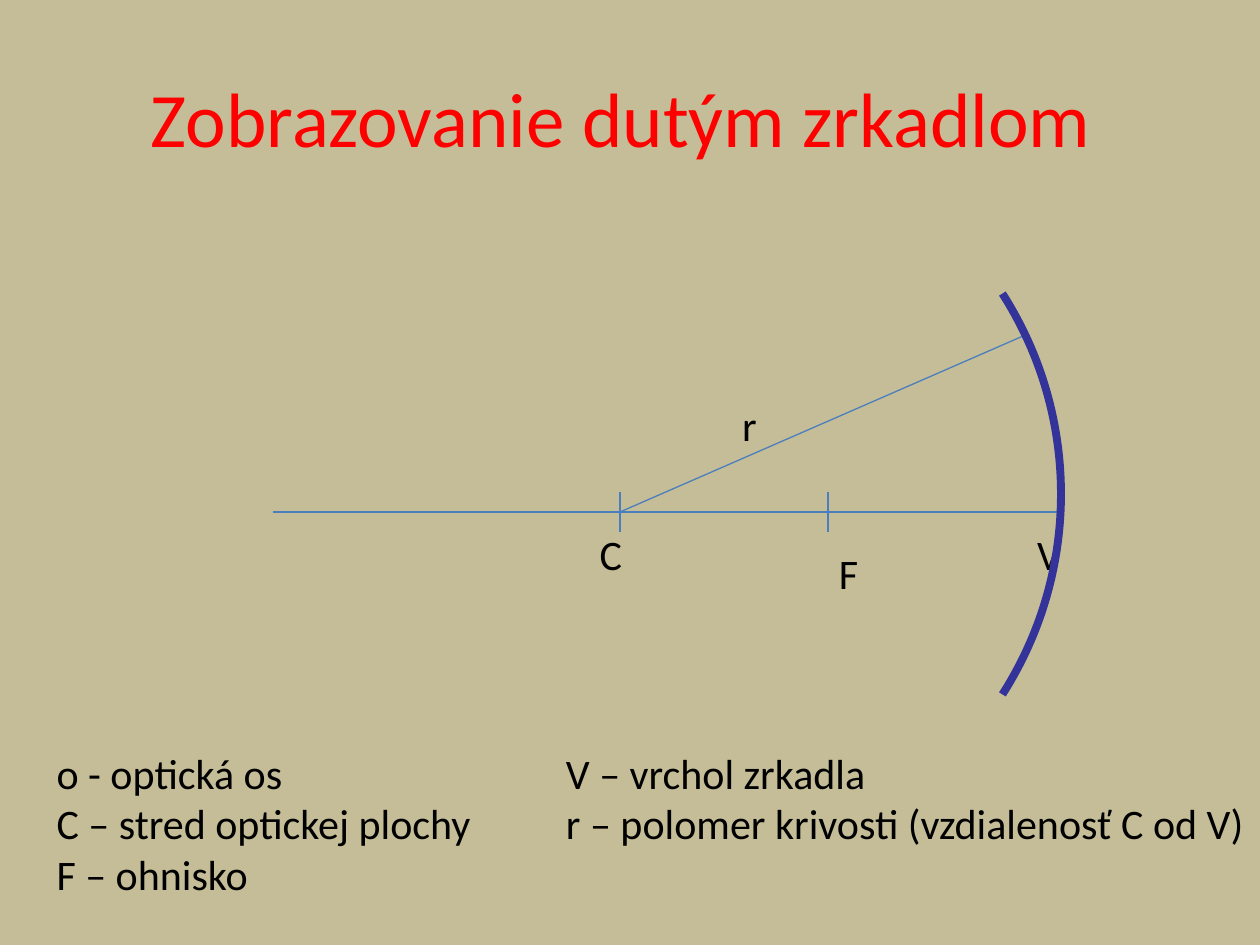
import math
import pptx
import pptx.dml.color
import pptx.enum.shapes
import pptx.enum.text
import pptx.util
import lxml.etree

Cm = pptx.util.Cm
Pt = pptx.util.Pt
HUES = {"back": "C4BD97", "head": "FF0000", "ray": "4B7EBC", "glass": "333399", "text": "000000"}


def hue(name):
    return pptx.dml.color.RGBColor.from_string(HUES[name])


def add_tag(parent, tag):
    return lxml.etree.SubElement(parent, pptx.oxml.ns.qn(tag))


class Page:
    face = "Calibri"

    def __init__(self, deck):
        self.slide = deck.slides.add_slide(deck.slide_layouts[5])
        self.shapes = self.slide.shapes
        fill = self.slide.background.fill
        fill.solid()
        fill.fore_color.rgb = hue("back")

    def style(self, para, size, tone):
        for run in para.runs:
            run.font.name = self.face
            run.font.size = Pt(size)
            run.font.color.rgb = hue(tone)

    def title(self, text, left, top, width, height):
        box = self.shapes.title
        box.left, box.top, box.width, box.height = map(Cm, (left, top, width, height))
        box.text_frame.text = text
        box.text_frame.vertical_anchor = pptx.enum.text.MSO_ANCHOR.MIDDLE
        para = box.text_frame.paragraphs[0]
        para.alignment = pptx.enum.text.PP_ALIGN.CENTER
        self.style(para, 44, "head")

    def text(self, text, left, top, width, height, inset=0.25, tab=None):
        box = self.shapes.add_textbox(*map(Cm, (left, top, width, height)))
        frame = box.text_frame
        frame.word_wrap = True
        frame.margin_left = Cm(inset)
        frame.text = text
        for para in frame.paragraphs:
            if tab:
                stops = add_tag(para._p.get_or_add_pPr(), "a:tabLst")
                stop = add_tag(stops, "a:tab")
                stop.set("pos", str(Cm(tab)))
                stop.set("algn", "l")
            self.style(para, 24, "text")

    def line(self, x1, y1, x2, y2):
        kind = pptx.enum.shapes.MSO_CONNECTOR.STRAIGHT
        line = self.shapes.add_connector(kind, *map(Cm, (x1, y1, x2, y2)))
        line.line.color.rgb = hue("ray")
        line.line.width = Pt(0.75)
        add_tag(line._element.spPr, "a:effectLst")

    def arc(self, x, y, radius, half):
        kind = pptx.enum.shapes.MSO_SHAPE.ARC
        side = 2 * radius
        arc = self.shapes.add_shape(kind, *map(Cm, (x - radius, y - radius, side, side)))
        angle = math.degrees(math.asin(half / radius))
        arc.adjustments[0] = (360 - angle) * 0.6
        arc.adjustments[1] = angle * 0.6
        arc.shadow.inherit = False
        arc.fill.background()
        arc.line.color.rgb = hue("glass")
        arc.line.width = Pt(4.5)


def main():
    deck = pptx.Presentation()
    deck.slide_width, deck.slide_height = Cm(25.4), Cm(19.05)
    page = Page(deck)
    page.title("Zobrazovanie dutým zrkadlom ", 1.27, 0.76, 22.86, 3.18)

    axis, centre, focus = 10.32, 12.5, 16.69
    page.line(5.5, axis, 21.31, axis)
    for x in (centre, focus):
        page.line(x, axis - 0.4, x, axis + 0.4)
    page.line(centre, axis, 20.7, 6.74)

    labels = (
        ("C", 10.11, 10.52, 3.81, 1.98),
        ("F", 15.7, 10.92, 3, 1.21),
        ("V", 19.89, 10.52, 3.61, 1.02),
        ("r", 14.71, 7.92, 3.99, 0.25),
    )
    for text, left, top, width, inset in labels:
        page.text(text, left, top, width, 1.27, inset)

    legend = (
        "o - optická os\tV – vrchol zrkadla",
        "C – stred optickej plochy\tr – polomer krivosti (vzdialenosť C od V)",
        "F – ohnisko",
    )
    page.text("\n".join(legend), 0.89, 14.94, 24.51, 3.33, tab=10.27)
    page.arc(13.89, 9.96, 7.5, 4.04)
    deck.save("out.pptx")


if __name__ == "__main__":
    main()
